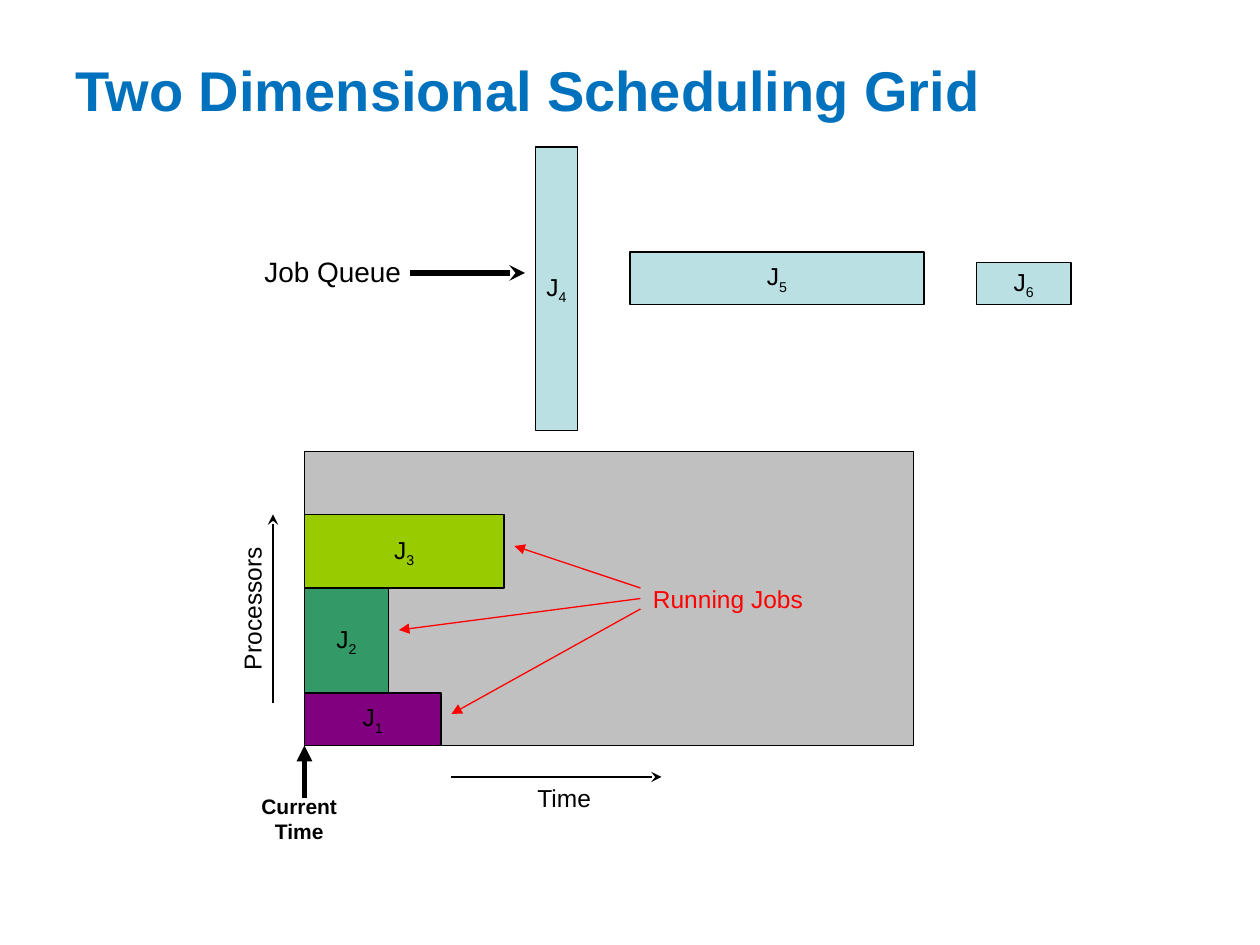
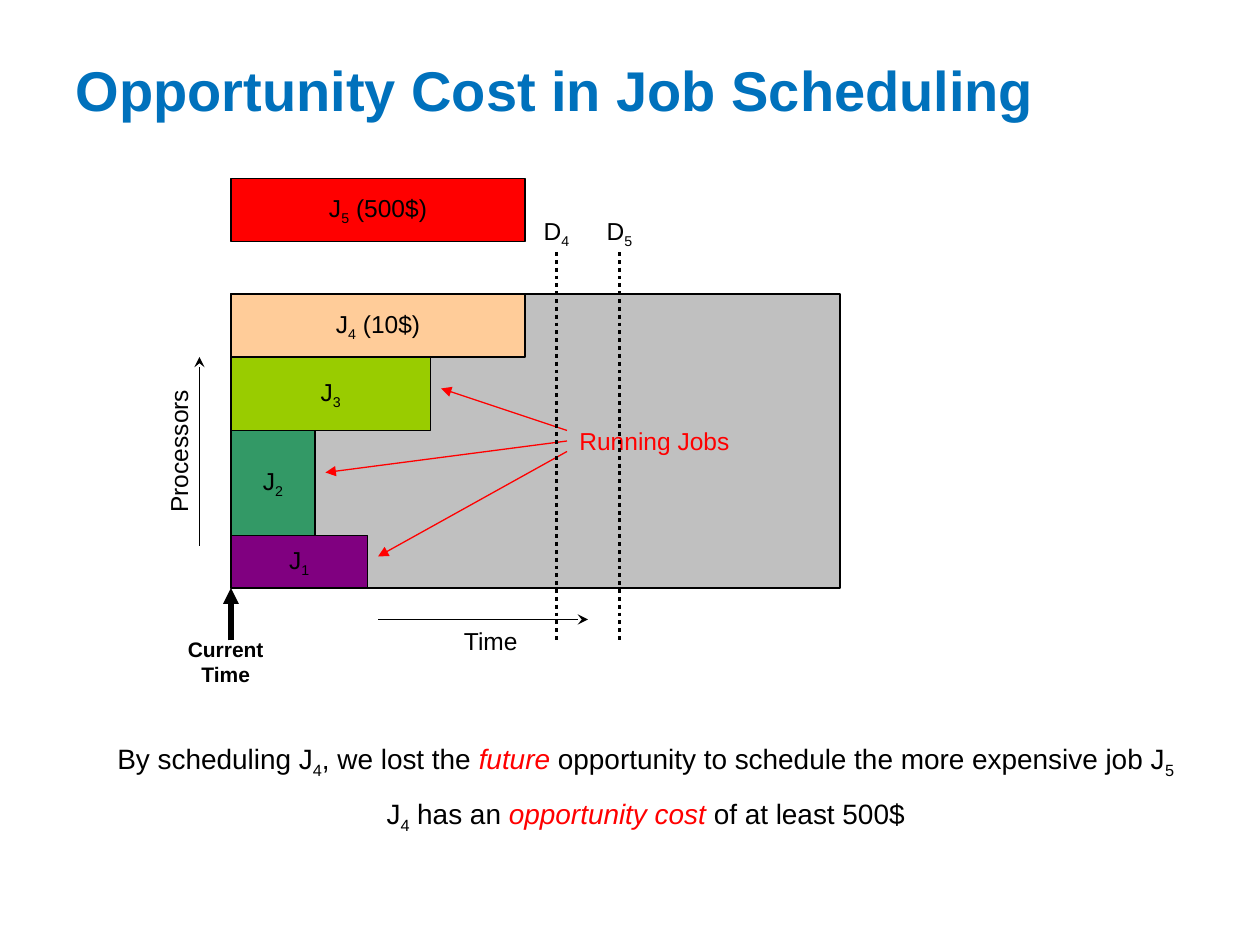
from lxml.etree import SubElement
from pptx import Presentation
from pptx.dml.color import RGBColor
from pptx.enum.dml import MSO_LINE
from pptx.enum.shapes import MSO_CONNECTOR, MSO_SHAPE
from pptx.enum.text import MSO_ANCHOR, PP_ALIGN
from pptx.oxml.ns import qn
from pptx.util import Emu, Pt

FONT = "Arial"
BLACK = "000000"
RED = "FF0000"
TITLE_BLUE = "0071BC"
GRID_GRAY = "C0C0C0"
QUEUE_BLUE = "BBE0E3"
WAITING_ORANGE = "FFCC99"
RUNNING_JOBS = [
    ("3", 152, 56, "99CC00"),
    ("2", 64, 80, "339966"),
    ("1", 104, 40, "800080"),
]
FIRST_RUNNING_TOP = 48
GRID_WIDTH, GRID_HEIGHT = 464, 224


def px(length):
    return Emu(length * 9525)


def color(value):
    return RGBColor.from_string(value)


def shift(origin, x, y):
    return origin[0] + x, origin[1] + y


def add_spans(para, spans, size, ink=BLACK, bold=False):
    for text, style in spans:
        span = para.add_run()
        span.text = text
        font = span.font
        font.name, font.size, font.bold = FONT, Pt(size), bold
        font.color.rgb = color(RED if style == "key" else ink)
        if style == "key":
            font.italic = True
        if style == "sub":
            span._r.get_or_add_rPr().set("baseline", "-25000")


def add_label(page, origin, width, height, paragraphs, size=14, ink=BLACK,
              bold=False, align=PP_ALIGN.LEFT, rotation=0):
    label = page.shapes.add_textbox(*map(px, (*origin, width, height)))
    label.rotation = rotation
    frame = label.text_frame
    frame.word_wrap = True
    for index, spans in enumerate(paragraphs):
        para = frame.add_paragraph() if index else frame.paragraphs[0]
        para.alignment = align
        if index:
            para.space_before = Pt(10)
        add_spans(para, spans, size, ink, bold)


def add_block(page, origin, width, height, fill, spans=()):
    block = page.shapes.add_shape(
        MSO_SHAPE.RECTANGLE, *map(px, (*origin, width, height)))
    block.shadow.inherit = False
    block.fill.solid()
    block.fill.fore_color.rgb = color(fill)
    block.line.color.rgb = color(BLACK)
    block.line.width = Pt(0.75)
    frame = block.text_frame
    frame.word_wrap = False
    frame.vertical_anchor = MSO_ANCHOR.MIDDLE
    para = frame.paragraphs[0]
    para.alignment = PP_ALIGN.CENTER
    add_spans(para, spans, 14)


def add_job(page, origin, width, height, fill, number, price=""):
    spans = [("J", ""), (number, "sub")]
    if price:
        spans.append((f" ({price})", ""))
    add_block(page, origin, width, height, fill, spans)


def add_line(page, start, end, ink=BLACK, width=0.75, head=None, dash=None):
    connector = page.shapes.add_connector(
        MSO_CONNECTOR.STRAIGHT, *map(px, (*start, *end)))
    line = connector.line
    line.color.rgb = color(ink)
    line.width = Pt(width)
    if dash:
        line.dash_style = dash
    if head:
        SubElement(line._get_or_add_ln(), qn("a:tailEnd"), type=head)
    SubElement(connector._element.spPr, qn("a:effectLst"))


def add_page(deck, heading):
    page = deck.slides.add_slide(deck.slide_layouts[5])
    title = page.shapes.title
    title.left, title.top, title.width, title.height = map(px, (48, 16, 864, 104))
    frame = title.text_frame
    frame.vertical_anchor = MSO_ANCHOR.MIDDLE
    para = frame.paragraphs[0]
    para.alignment = PP_ALIGN.LEFT
    add_spans(para, [(heading, "")], 32, TITLE_BLUE, True)
    return page


def add_axes(page, origin):
    add_line(page, shift(origin, 112, 248), shift(origin, 272, 248), head="stealth")
    add_label(page, shift(origin, 168, 248), 72, 32, [[("Time", "")]])
    add_line(page, shift(origin, -24, 192), shift(origin, -24, 48), head="stealth")
    add_label(page, shift(origin, -100, 100), 120, 32, [[("Processors", "")]],
              rotation=270)
    add_line(page, shift(origin, 0, 264), shift(origin, 0, GRID_HEIGHT),
             width=3, head="triangle")
    add_label(page, shift(origin, -56, 256), 104, 48, [[("Current Time", "")]],
              size=12, bold=True, align=PP_ALIGN.CENTER)


def add_running_callout(page, origin):
    for index, target in enumerate([(160, 72), (72, 136), (112, 200)]):
        add_line(page, shift(origin, 256, 104 + 8 * index), shift(origin, *target),
                 ink=RED, head="triangle")
    add_label(page, shift(origin, 256, 96), 144, 32, [[("Running Jobs", "")]], ink=RED)


def add_scheduling_grid(page, origin):
    add_block(page, origin, GRID_WIDTH, GRID_HEIGHT, GRID_GRAY)
    top = FIRST_RUNNING_TOP
    for number, width, height, fill in RUNNING_JOBS:
        add_job(page, shift(origin, 0, top), width, height, fill, number)
        top += height
    add_axes(page, origin)
    add_running_callout(page, origin)


def add_job_queue(page, origin):
    for number, x, y, width, height in [
        ("5", 288, 80, 224, 40), ("6", 552, 88, 72, 32), ("4", 216, 0, 32, 216),
    ]:
        add_job(page, shift(origin, x, y), width, height, QUEUE_BLUE, number)
    add_label(page, shift(origin, 0, 77), 128, 35, [[("Job Queue", "")]], size=16)
    add_line(page, shift(origin, 120, 96), shift(origin, 208, 96),
             width=3, head="stealth")


def add_competing_jobs(page, origin):
    add_job(page, origin, 224, 48, WAITING_ORANGE, "4", "10$")
    add_job(page, shift(origin, 0, -88), 224, 48, RED, "5", "500$")
    for number, x in [("4", 248), ("5", 296)]:
        add_line(page, shift(origin, x, -32), shift(origin, x, 264),
                 width=2.25, dash=MSO_LINE.ROUND_DOT)
        add_label(page, shift(origin, x - 24, -64), 48, 32,
                  [[("D", ""), (number, "sub")]], align=PP_ALIGN.CENTER)


def add_conclusion(page, origin):
    lost_chance = [
        ("By scheduling J", ""), ("4", "sub"), (", we lost the ", ""),
        ("future", "key"),
        (" opportunity to schedule the more expensive job J", ""), ("5", "sub"),
    ]
    cost = [
        ("J", ""), ("4", "sub"), (" has an ", ""), ("opportunity cost", "key"),
        (" of at least 500$", ""),
    ]
    add_label(page, origin, 856, 74, [lost_chance, cost], size=16,
              align=PP_ALIGN.CENTER)


def main():
    deck = Presentation()
    deck.slide_width, deck.slide_height = px(960), px(720)

    page = add_page(deck, "Two Dimensional Scheduling Grid")
    add_scheduling_grid(page, (232, 344))
    add_job_queue(page, (192, 112))

    page = add_page(deck, "Opportunity Cost in Job Scheduling")
    add_scheduling_grid(page, (176, 224))
    add_competing_jobs(page, (176, 224))
    add_conclusion(page, (64, 560))

    deck.save("out.pptx")


if __name__ == "__main__":
    main()
